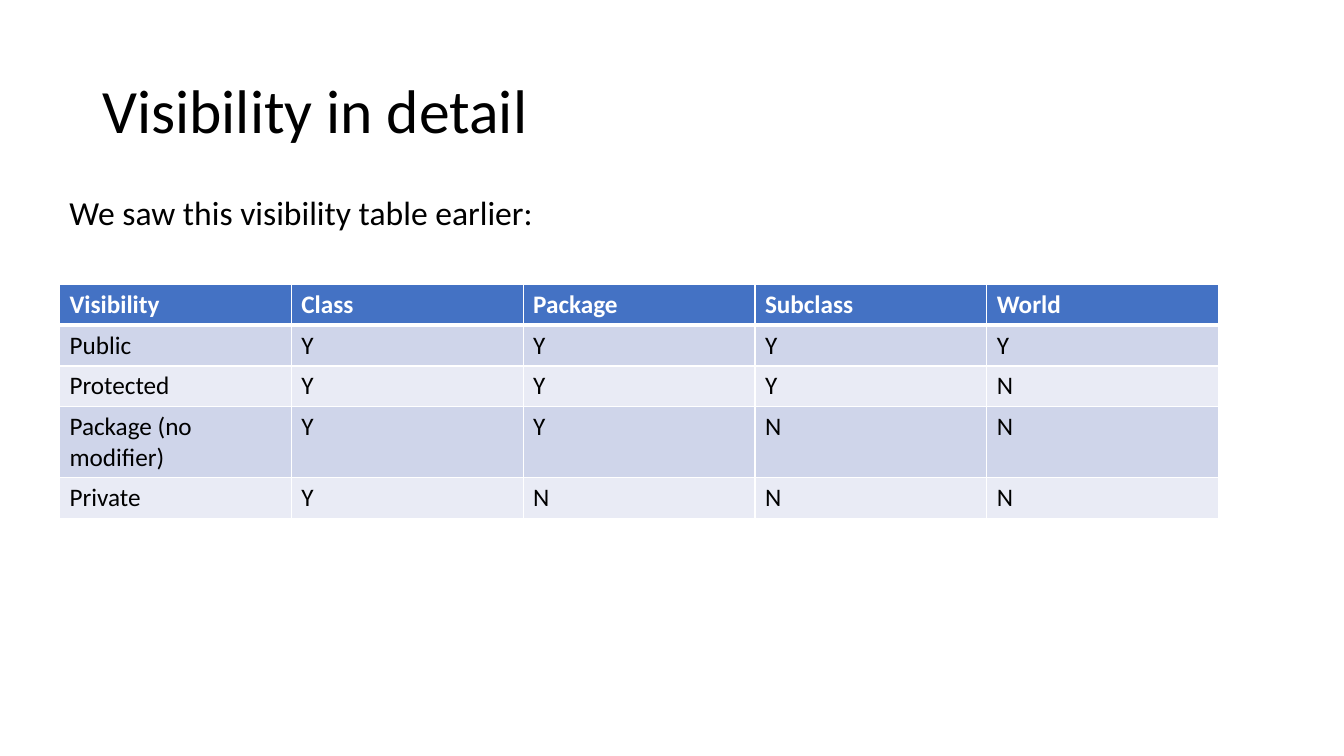
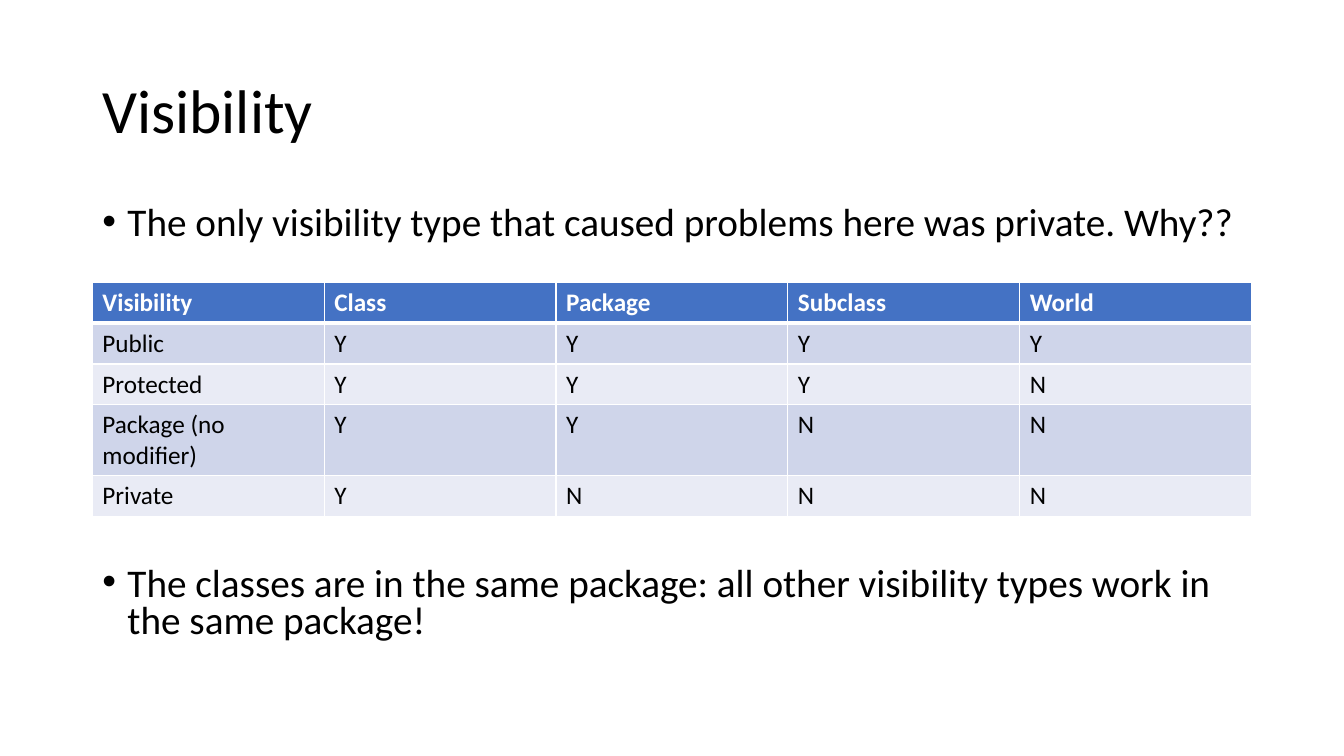
from lxml.etree import SubElement
from pptx import Presentation
from pptx.dml.color import RGBColor
from pptx.enum.text import MSO_ANCHOR as Anchor
from pptx.oxml.ns import qn
from pptx.util import Pt

FONT = "Calibri"
BLACK = RGBColor(0x00, 0x00, 0x00)
WHITE = RGBColor(0xFF, 0xFF, 0xFF)
HEADER_BLUE = RGBColor(0x44, 0x72, 0xC4)
BAND_DARK = RGBColor(0xCF, 0xD5, 0xEA)
BAND_LIGHT = RGBColor(0xE9, 0xEB, 0xF5)

MARGIN = 66
CONTENT_W = 828
ROW_H = 29.2
WRAPPED_ROW_H = 50.4
BULLET_INDENT = 18
TABLE_GAP = 230.5

VISIBILITY_ROWS = [
    ("Visibility", "Class", "Package", "Subclass", "World"),
    ("Public", "Y", "Y", "Y", "Y"),
    ("Protected", "Y", "Y", "Y", "N"),
    ("Package (no modifier)", "Y", "Y", "N", "N"),
    ("Private", "Y", "N", "N", "N"),
]
WRAPPED_ROW = 3


def add_run(p, text, size, color=BLACK, bold=False):
    r = p.add_run()
    r.text = text
    r.font.name = FONT
    r.font.size = Pt(size)
    r.font.bold = bold
    r.font.color.rgb = color


def add_text_frame(s, left, top, width, height, anchor=Anchor.TOP):
    box = s.shapes.add_textbox(Pt(left), Pt(top), Pt(width), Pt(height))
    tf = box.text_frame
    tf.word_wrap = True
    tf.vertical_anchor = anchor
    return tf


def add_title(s, text):
    tf = add_text_frame(s, MARGIN, 28.8, CONTENT_W, 104.4, Anchor.MIDDLE)
    p = tf.paragraphs[0]
    p.line_spacing = 0.9
    add_run(p, text, 44)


def add_intro(s, text):
    tf = add_text_frame(s, 42.5, 133.2, 838, 36)
    add_run(tf.paragraphs[0], text, 24)


def add_bullets(s, texts, gap):
    tf = add_text_frame(s, MARGIN, 144, CONTENT_W, 342.7)
    for i, text in enumerate(texts):
        p = tf.add_paragraph() if i else tf.paragraphs[0]
        pPr = p._p.get_or_add_pPr()
        pPr.set("marL", str(Pt(BULLET_INDENT)))
        pPr.set("indent", str(-Pt(BULLET_INDENT)))
        SubElement(pPr, qn("a:buFont"), typeface="Arial")
        SubElement(pPr, qn("a:buChar"), char="•")
        p.line_spacing = 0.8
        p.space_before = Pt(gap if i else 0)
        add_run(p, text, 28)


def set_borders(cell, top, bottom):
    tcPr = cell._tc.get_or_add_tcPr()
    for side, width in (("L", 1), ("R", 1), ("T", top), ("B", bottom)):
        ln = SubElement(tcPr, qn(f"a:ln{side}"), w=str(Pt(width)))
        fill = SubElement(ln, qn("a:solidFill"))
        SubElement(fill, qn("a:srgbClr"), val=str(WHITE))


def fill_cell(cell, text, row):
    header = row == 0
    set_borders(cell, 3 if row == 1 else 1, 3 if header else 1)
    cell.fill.solid()
    band = BAND_DARK if row % 2 else BAND_LIGHT
    cell.fill.fore_color.rgb = HEADER_BLUE if header else band
    add_run(cell.text_frame.paragraphs[0], text, 18,
            WHITE if header else BLACK, header)


def add_visibility_table(s, left, top):
    n_rows, n_cols = len(VISIBILITY_ROWS), len(VISIBILITY_ROWS[0])
    height = ROW_H * (n_rows - 1) + WRAPPED_ROW_H
    table = s.shapes.add_table(n_rows, n_cols, Pt(left), Pt(top),
                               Pt(CONTENT_W), Pt(height)).table
    table.horz_banding = False
    for i, values in enumerate(VISIBILITY_ROWS):
        table.rows[i].height = Pt(WRAPPED_ROW_H if i == WRAPPED_ROW else ROW_H)
        for j, value in enumerate(values):
            fill_cell(table.cell(i, j), value, i)


def add_slide(prs, title):
    s = prs.slides.add_slide(prs.slide_layouts[6])
    add_title(s, title)
    return s


def main():
    prs = Presentation()
    prs.slide_width, prs.slide_height = Pt(960), Pt(540)

    s = add_slide(prs, "Visibility in detail")
    add_visibility_table(s, 42.5, 203)
    add_intro(s, "We saw this visibility table earlier:")

    s = add_slide(prs, "Visibility")
    add_bullets(s, [
        "The only visibility type that caused problems here was private. Why??",
        "The classes are in the same package: all other visibility types "
        "work in the same package!",
    ], TABLE_GAP)
    add_visibility_table(s, MARGIN, 201.6)

    prs.save("out.pptx")


if __name__ == "__main__":
    main()
